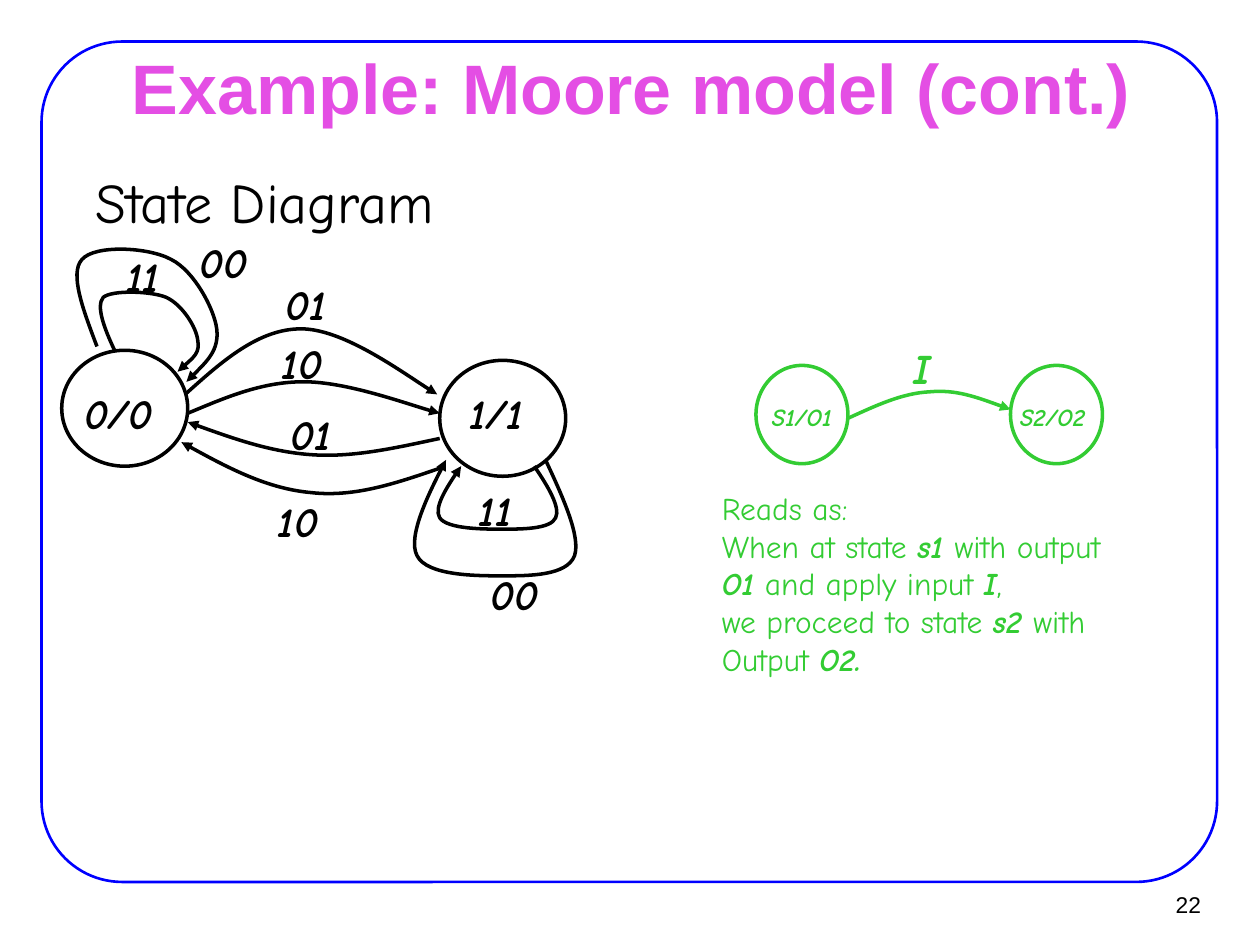
from lxml.etree import SubElement
from pptx import Presentation
from pptx.dml.color import RGBColor
from pptx.enum.shapes import MSO_SHAPE
from pptx.enum.text import MSO_ANCHOR, PP_ALIGN
from pptx.oxml.ns import qn
from pptx.util import Inches, Pt

COLORS = {"frame": "0000FF", "title": "E44EE4", "ink": "000000", "legend": "33CC33"}
COLS, ROWS = 10, 7.5


def write(tf, text, size=24, color="ink", font="Comic Neue", align=PP_ALIGN.CENTER,
          bold=False, italic=False):
    """Fill a text frame; *stars* mark words in bold italics, \\v breaks a line."""
    for i, line in enumerate(text.split("\n")):
        p = tf.paragraphs[0] if i == 0 else tf.add_paragraph()
        p.alignment = align
        for j, part in enumerate(line.split("*")):
            for k, piece in enumerate(part.split("\v")):
                if k:
                    p.add_line_break()
                if not piece:
                    continue
                r = p.add_run()
                r.text = piece
                r.font.name, r.font.size = font, Pt(size)
                r.font.bold = bold or j % 2 == 1
                r.font.italic = italic or j % 2 == 1
                r.font.color.rgb = RGBColor.from_string(COLORS[color])


class Diagram:
    """Places elements on a grid of COLS by ROWS cells."""

    def __init__(self, prs):
        self.s = prs.slides.add_slide(prs.slide_layouts[6])
        self.col = prs.slide_width / COLS
        self.row = prs.slide_height / ROWS

    def grid(self, *lengths):
        return [round(v * (self.row if i % 2 else self.col)) for i, v in enumerate(lengths)]

    def outline(self, sp, color, width=2):
        sp.shadow.inherit = False
        sp.fill.background()
        sp.line.color.rgb = RGBColor.from_string(COLORS[color])
        sp.line.width = Pt(width)

    def frame(self, x, y, w, h, radius):
        sp = self.s.shapes.add_shape(MSO_SHAPE.ROUNDED_RECTANGLE, *self.grid(x, y, w, h))
        sp.adjustments[0] = radius
        self.outline(sp, "frame", 1.5)

    def text(self, x, y, w, h, text, wrap=False, anchor=MSO_ANCHOR.TOP, **fmt):
        tf = self.s.shapes.add_textbox(*self.grid(x, y, w, h)).text_frame
        tf.word_wrap = wrap
        tf.vertical_anchor = anchor
        write(tf, text, **fmt)

    def label(self, x, y, text, w=0.61, h=0.5, **fmt):
        self.text(x, y, w, h, text, bold=True, italic=True, **fmt)

    def state(self, x, y, w, h, color="ink"):
        self.outline(self.s.shapes.add_shape(MSO_SHAPE.OVAL, *self.grid(x, y, w, h)), color)

    def arc(self, *points, color="ink"):
        """Draw an arrow of cubic curves: a start, then three points for each curve."""
        start, *rest = [self.grid(*pt) for pt in points]
        fb = self.s.shapes.build_freeform(*start, scale=1.0)
        fb.add_line_segments(rest, close=False)
        sp = fb.convert_to_shape()
        path = next(sp._element.iter(qn("a:path")))
        lines = path.findall(qn("a:lnTo"))
        for i in range(0, len(lines), 3):
            curve = SubElement(path, qn("a:cubicBezTo"))
            for line in lines[i:i + 3]:
                curve.append(line[0])
                path.remove(line)
        self.outline(sp, color)
        SubElement(sp.line._get_or_add_ln(), qn("a:tailEnd"), type="triangle")


def main():
    prs = Presentation()
    prs.slide_width, prs.slide_height = Inches(10), Inches(7.5)
    d = Diagram(prs)

    d.frame(0.33, 0.33, 9.33, 6.67, radius=0.096)
    d.text(9.02, 6.99, 0.61, 0.37, "22", size=13, font="Arial",
           align=PP_ALIGN.RIGHT, anchor=MSO_ANCHOR.MIDDLE)
    d.text(0.76, 0.44, 8.5, 0.49, "Example: Moore model (cont.)", size=40, color="title",
           font="Arial", bold=True, wrap=True, anchor=MSO_ANCHOR.MIDDLE)
    d.text(0.66, 1.28, 4, 0.72, "State Diagram", size=32, align=PP_ALIGN.LEFT, wrap=True)

    # Legend: how to read one transition
    for x, label_x, name in [(6, 5.95, "S1/O1"), (8.02, 7.94, "S2/O2")]:
        d.state(x, 2.9, 0.73, 0.78, color="legend")
        d.label(label_x, 3.14, name, w=0.83, h=0.33, size=14, color="legend")
    d.arc((6.73, 3.32), (6.95, 3.22), (7.16, 3.12), (7.38, 3.11),
          (7.59, 3.09), (7.8, 3.17), (8.02, 3.25), color="legend")
    d.label(7.13, 2.67, "I", w=0.38, color="legend")
    d.text(5.63, 3.83, 3.69, 1.9,
           "Reads as:\vWhen at state *s1 *with output\n"
           "*O1* and apply input *I*,\n"
           "we proceed to state *s2 *with\n"
           "Output *O2.*",
           size=18, color="legend", align=PP_ALIGN.LEFT)

    # States
    for x, y, name in [(0.49, 2.78, "0/0"), (3.49, 2.86, "1/1")]:
        d.state(x, y, 1, 0.92)
        d.label(x + 0.06, 3.03, name, w=0.78, h=0.57)

    # Loops on state 0, inner then outer
    d.arc((0.91, 2.78), (0.83, 2.61), (0.76, 2.43), (0.82, 2.36),
          (0.89, 2.3), (1.2, 2.31), (1.32, 2.36),
          (1.45, 2.42), (1.56, 2.6), (1.57, 2.7),
          (1.59, 2.8), (1.5, 2.87), (1.41, 2.95))
    d.arc((0.77, 2.75), (0.66, 2.46), (0.55, 2.17), (0.65, 2.06),
          (0.75, 1.94), (1.18, 1.96), (1.36, 2.06),
          (1.54, 2.15), (1.7, 2.45), (1.72, 2.61),
          (1.74, 2.78), (1.61, 2.9), (1.48, 3.03))

    # Loops on state 1, inner then outer
    d.arc((4.24, 3.7), (4.35, 3.86), (4.45, 4.03), (4.41, 4.11),
          (4.37, 4.2), (4.14, 4.2), (3.99, 4.2),
          (3.84, 4.2), (3.55, 4.2), (3.49, 4.11),
          (3.44, 4.03), (3.6, 3.78), (3.66, 3.7))
    d.arc((4.33, 3.65), (4.47, 3.95), (4.61, 4.26), (4.56, 4.41),
          (4.5, 4.57), (4.2, 4.57), (3.99, 4.57),
          (3.78, 4.57), (3.39, 4.57), (3.31, 4.41),
          (3.23, 4.26), (3.46, 3.8), (3.54, 3.65))

    # Transitions from 0 to 1, then from 1 to 0
    d.arc((1.47, 3.13), (1.76, 2.87), (2.05, 2.61), (2.39, 2.61),
          (2.72, 2.61), (3.27, 3.01), (3.47, 3.13))
    d.arc((1.49, 3.28), (1.78, 3.16), (2.07, 3.03), (2.41, 3.03),
          (2.74, 3.03), (3.3, 3.23), (3.49, 3.28))
    d.arc((3.49, 3.48), (3.16, 3.55), (2.82, 3.63), (2.49, 3.61),
          (2.16, 3.59), (1.82, 3.47), (1.49, 3.35))
    d.arc((3.51, 3.71), (3.16, 3.83), (2.82, 3.95), (2.47, 3.91),
          (2.13, 3.88), (1.78, 3.7), (1.44, 3.51))

    for x, y, inputs in [(1.47, 1.83, "00"), (0.83, 1.94, "11"), (2.12, 2.16, "01"),
                         (2.09, 2.63, "10"), (2.16, 3.19, "01"), (2.06, 3.88, "10"),
                         (3.63, 3.8, "11"), (3.78, 4.46, "00")]:
        d.label(x, y, inputs)

    prs.save("out.pptx")


if __name__ == "__main__":
    main()
